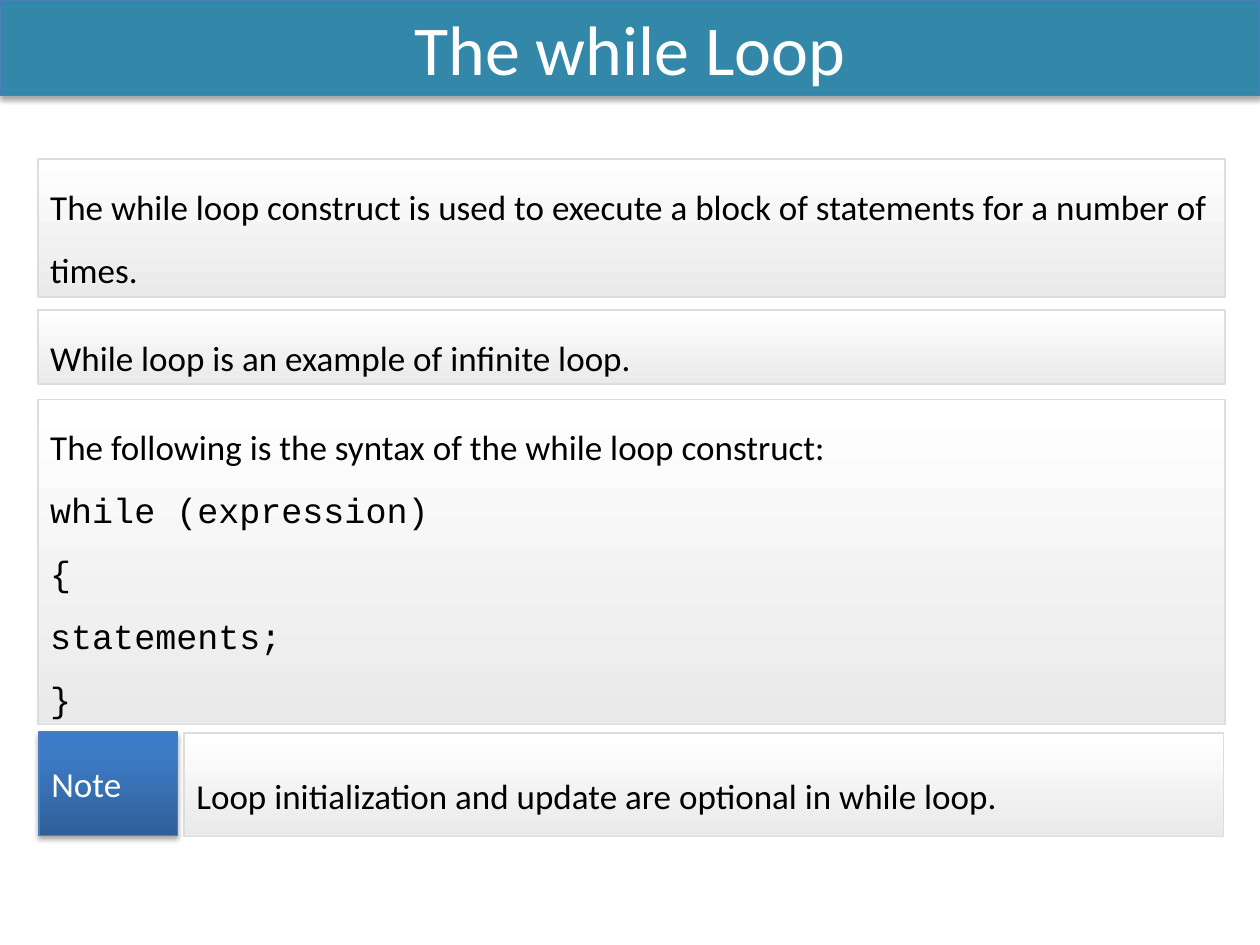
"""Build the slide that explains the while loop."""
from copy import deepcopy

from lxml.etree import SubElement
from pptx import Presentation
from pptx.dml.color import RGBColor
from pptx.enum.shapes import MSO_SHAPE
from pptx.enum.text import MSO_ANCHOR, PP_ALIGN
from pptx.oxml.ns import qn
from pptx.util import Inches, Pt

COLORS = {
    "title": "3388A9", "accent_line": "4B7EBC", "panel_line": "DDDDDD",
    "panel_top": "FFFFFF", "panel_bottom": "EAEAEA",
    "note_dark": "2F5F99", "note_mid": "3D7CC7", "note_light": "3A7CCB",
    "white": "FFFFFF", "black": "000000",
}
COLORS = {name: RGBColor.from_string(value) for name, value in COLORS.items()}


def add_box(box, lines, color, size=20, spacing=None, raised=False):
    sp = s.shapes.add_shape(MSO_SHAPE.RECTANGLE, *[Inches(v) for v in box])
    sp.shadow.inherit = False
    sp.line.color.rgb = COLORS["accent_line" if raised else "panel_line"]
    sp.line.width = Pt(0.75 if raised else 1)
    if raised:
        effects = sp._element.spPr.find(qn("a:effectLst"))
        shadow = SubElement(effects, qn("a:outerShdw"), blurRad=str(Pt(3.1)),
                            dist=str(Pt(1.8)), dir="5400000", rotWithShape="0")
        shade = SubElement(shadow, qn("a:srgbClr"), val="000000")
        SubElement(shade, qn("a:alpha"), val="35000")
    tf = sp.text_frame
    tf.word_wrap = True
    tf.vertical_anchor = MSO_ANCHOR.MIDDLE
    for i, (text, font) in enumerate(lines):
        p = tf.paragraphs[0] if i == 0 else tf.add_paragraph()
        p.text = text
        p.alignment = PP_ALIGN.LEFT
        p.line_spacing = spacing
        p.font.name = font
        p.font.size = Pt(size)
        p.font.color.rgb = COLORS[color]
    return sp


def set_gradient(sp, angle, stops):
    sp.fill.gradient()
    sp.fill.gradient_angle = angle
    gs_list = sp._element.spPr.find(qn("a:gradFill")).find(qn("a:gsLst"))
    for _ in stops[2:]:
        gs_list.append(deepcopy(gs_list[-1]))
    for stop, (position, color) in zip(sp.fill.gradient_stops, stops):
        stop.position = position
        stop.color.rgb = COLORS[color]


prs = Presentation()
prs.slide_width, prs.slide_height = Inches(10), Inches(7.5)
s = prs.slides.add_slide(prs.slide_layouts[6])

title = add_box((0, 0, 10, 0.76), [("The while Loop", "Calibri")], "white", 40, raised=True)
title.fill.solid()
title.fill.fore_color.rgb = COLORS["title"]
title.text_frame.paragraphs[0].alignment = PP_ALIGN.CENTER

code = ["while (expression)", "{", "statements;", "}"]
panels = [
    ((0.3, 1.26, 9.42, 1.1),
     [("The while loop construct is used to execute a block of statements "
       "for a number of times.", "Calibri")]),
    ((0.3, 2.46, 9.42, 0.59),
     [("While loop is an example of infinite loop.", "Calibri")]),
    ((0.3, 3.17, 9.42, 2.58),
     [("The following is the syntax of the while loop construct:", "Calibri")]
     + [(line, "Courier New") for line in code]),
    ((1.46, 5.82, 8.25, 0.82),
     [("Loop initialization and update are optional in while loop.", "Calibri")]),
]
for box, lines in panels:
    sp = add_box(box, lines, "black", spacing=1.5)
    set_gradient(sp, 270, [(0, "panel_top"), (1, "panel_bottom")])

note = add_box((0.31, 5.81, 1.1, 0.82), [("Note", "Calibri")], "white", raised=True)
set_gradient(note, 90, [(0, "note_dark"), (0.8, "note_mid"), (1, "note_light")])

prs.save("out.pptx")
